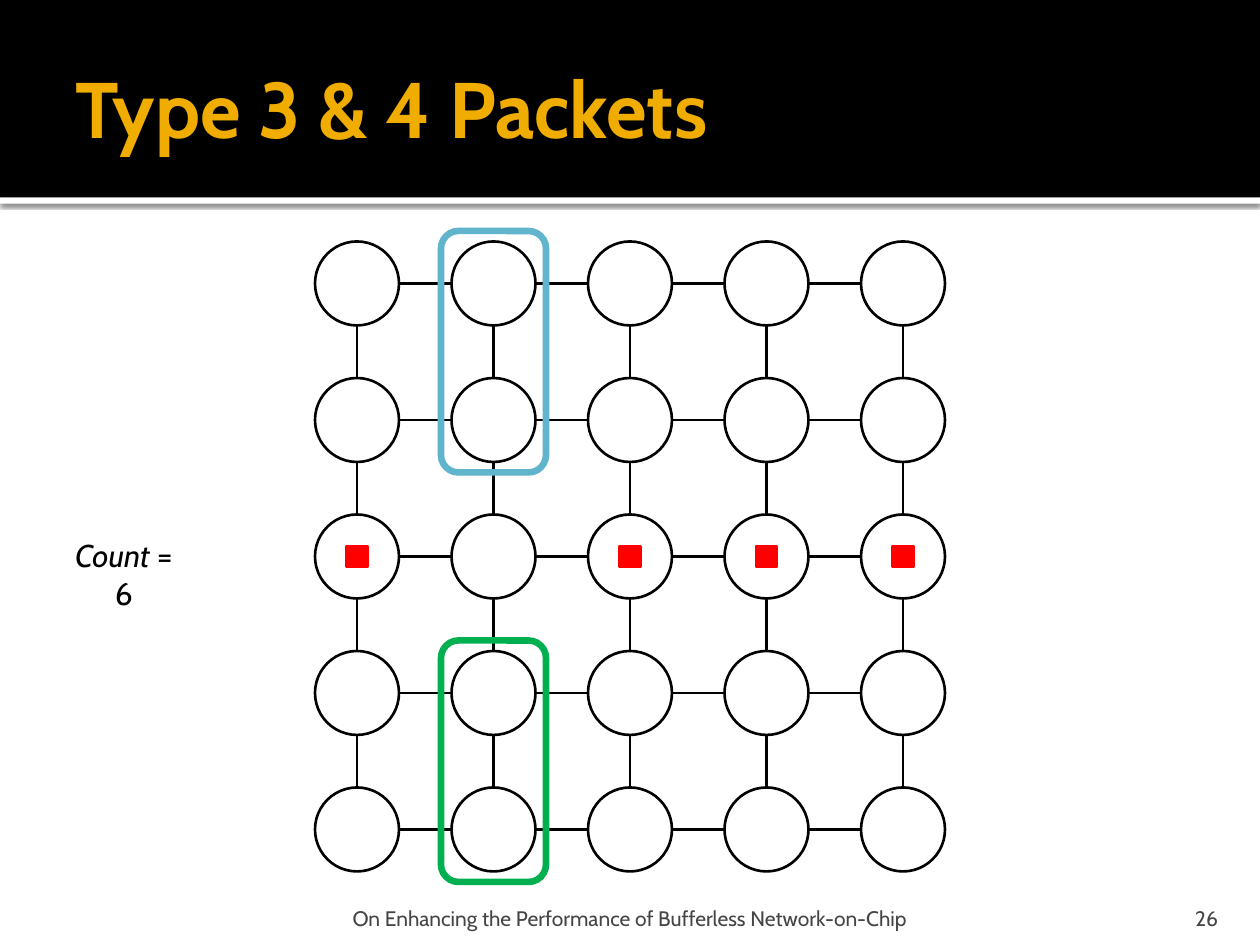
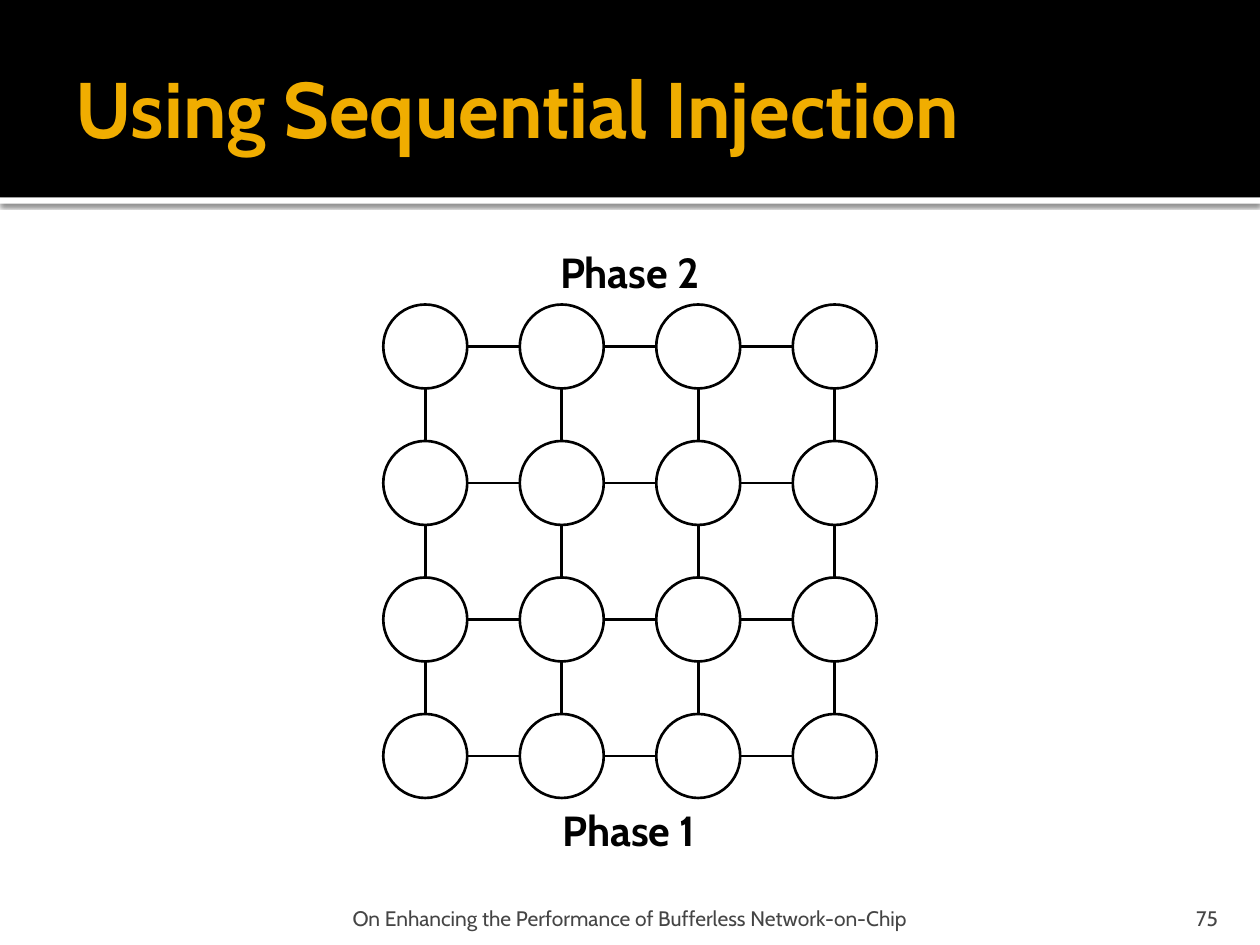
from itertools import product

from lxml import etree
from pptx import Presentation
from pptx.dml.color import RGBColor
from pptx.enum import shapes, text
from pptx.oxml import ns
from pptx.util import Emu, Pt

PX = 7620  # EMU; 120 px to the inch
PAGE_W, PAGE_H = 1200, 900
BAND_H, STRIP_H = 188, 6
NODE, PITCH = 80, 130
RING_GAP = 10
PACKET = 20

BLACK = RGBColor(0x00, 0x00, 0x00)
WHITE = RGBColor(0xFF, 0xFF, 0xFF)
GOLD = RGBColor(0xF0, 0xAD, 0x00)
GREY = RGBColor(0x45, 0x45, 0x45)
RED = RGBColor(0xFF, 0x00, 0x00)
BLUE = RGBColor(0x60, 0xB5, 0xCC)
GREEN = RGBColor(0x00, 0xB0, 0x50)

FONT = "Cabin"
FOOTER = "On Enhancing the Performance of Bufferless Network-on-Chip"
KIND = shapes.MSO_SHAPE
ALIGN = text.PP_ALIGN
ANCHOR = text.MSO_ANCHOR

TITLE_STYLE = {"size": Pt(45), "bold": True}
FOOTER_STYLE = {"size": Pt(12)}
COUNT_STYLE = {"size": Pt(18)}
PHASE_STYLE = {"size": Pt(24), "bold": True}


def px(*lengths):
    return [Emu(round(length * PX)) for length in lengths]


def apply(target, values):
    for name, value in values.items():
        setattr(target, name, value)


def add_shape(page, kind, area, fill=None, line=None, width=1.5):
    shape = page.shapes.add_shape(kind, *px(*area))
    shape.shadow.inherit = False
    if fill is None:
        shape.fill.background()
    else:
        shape.fill.solid()
        shape.fill.fore_color.rgb = fill
    if line is None:
        shape.line.fill.background()
    else:
        shape.line.color.rgb = line
        shape.line.width = Pt(width)
    return shape


def add_text(page, area, spans, style, color=BLACK, align=ALIGN.CENTER,
             anchor=ANCHOR.TOP, insets=(12, 6, 12, 6), wrap=True, grow=False):
    """Add one paragraph; spans are (wording, extra font values) pairs."""
    frame = page.shapes.add_textbox(*px(*area)).text_frame
    left, top, right, bottom = px(*insets)
    fit = text.MSO_AUTO_SIZE
    apply(frame, {
        "word_wrap": wrap, "vertical_anchor": anchor,
        "auto_size": fit.SHAPE_TO_FIT_TEXT if grow else fit.NONE,
        "margin_left": left, "margin_top": top,
        "margin_right": right, "margin_bottom": bottom,
    })
    para = frame.paragraphs[0]
    para.alignment = align
    for wording, extra in spans:
        span = para.add_run()
        span.text = wording
        apply(span.font, {"name": FONT, **style, **extra})
        span.font.color.rgb = color


def add_link(page, x1, y1, x2, y2):
    link = page.shapes.add_connector(shapes.MSO_CONNECTOR.STRAIGHT,
                                     *px(x1, y1, x2, y2))
    link.line.color.rgb = BLACK
    link.line.width = Pt(1.5)
    etree.SubElement(link._element.spPr, ns.qn("a:effectLst"))


def cast_shadow(shape):
    """Give the shape a soft shadow straight below it."""
    effects = shape._element.spPr.find(ns.qn("a:effectLst"))
    shadow = etree.SubElement(effects, ns.qn("a:outerShdw"), {
        "blurRad": str(Pt(2.5)), "dist": str(Pt(0.8)), "dir": "5400000",
        "algn": "tl", "rotWithShape": "0"})
    color = etree.SubElement(shadow, ns.qn("a:srgbClr"), val=str(BLACK))
    etree.SubElement(color, ns.qn("a:alpha"), val="60000")


def add_page(deck, title, number):
    """Add a page with the band, title, footer and page number."""
    page = deck.slides.add_slide(deck.slide_layouts[6])
    strip = add_shape(page, KIND.RECTANGLE, (0, BAND_H, PAGE_W, STRIP_H), WHITE)
    cast_shadow(strip)
    add_shape(page, KIND.RECTANGLE, (0, 0, PAGE_W, BAND_H), BLACK)
    add_text(page, (60, 20, 1080, 164), [(title, {})], TITLE_STYLE, GOLD,
             ALIGN.LEFT, ANCHOR.MIDDLE, (12, 6, 6, 6))
    add_text(page, (239, 850, 722, 36), [(FOOTER, {})], FOOTER_STYLE, GREY,
             ALIGN.CENTER, ANCHOR.BOTTOM, (6, 6, 6, 0))
    add_text(page, (1076, 850, 96, 36), [(str(number), {})], FOOTER_STYLE, GREY,
             ALIGN.RIGHT, ANCHOR.BOTTOM, (12, 6, 12, 0))
    return page


def add_mesh(page, count, top):
    """Draw a centred count-by-count mesh; return a locator of node corners."""
    left = (PAGE_W - (count - 1) * PITCH - NODE) // 2

    def corner(row, column):
        return left + column * PITCH, top + row * PITCH

    for row, column in product(range(count), repeat=2):
        x, y = corner(row, column)
        middle_x, middle_y = x + NODE // 2, y + NODE // 2
        add_shape(page, KIND.OVAL, (x, y, NODE, NODE), WHITE, BLACK)
        if column < count - 1:
            add_link(page, x + NODE, middle_y, x + PITCH, middle_y)
        if row < count - 1:
            add_link(page, middle_x, y + NODE, middle_x, y + PITCH)
    return corner


def add_packet(page, x, y):
    inset = (NODE - PACKET) // 2
    add_shape(page, KIND.RECTANGLE, (x + inset, y + inset, PACKET, PACKET),
              RED, RED)


def add_pair_ring(page, x, y, color):
    """Outline the node at x, y together with the node below it."""
    width = NODE + 2 * RING_GAP
    add_shape(page, KIND.ROUNDED_RECTANGLE,
              (x - RING_GAP, y - RING_GAP, width, width + PITCH),
              line=color, width=3.78)


def build_packets_page(deck):
    page = add_page(deck, "Type 3 & 4 Packets", 26)
    corner = add_mesh(page, 5, 230)
    for column in (0, 2, 3, 4):
        add_packet(page, *corner(2, column))
    add_text(page, (48, 505, 140, 48), [("Count", {"italic": True}), (" = 6", {})],
             COUNT_STYLE, grow=True)
    for row, color in ((0, BLUE), (3, GREEN)):
        add_pair_ring(page, *corner(row, 1), color)


def build_injection_page(deck):
    page = add_page(deck, "Using Sequential Injection", 75)
    add_mesh(page, 4, 290)
    for phase, x, y in (("Phase 1", 520, 760), ("Phase 2", 521, 229)):
        add_text(page, (x, y, 158, 60), [(phase, {})], PHASE_STYLE,
                 wrap=False, grow=True)


def main():
    deck = Presentation()
    deck.slide_width, deck.slide_height = px(PAGE_W, PAGE_H)
    build_packets_page(deck)
    build_injection_page(deck)
    deck.save("out.pptx")


if __name__ == "__main__":
    main()
